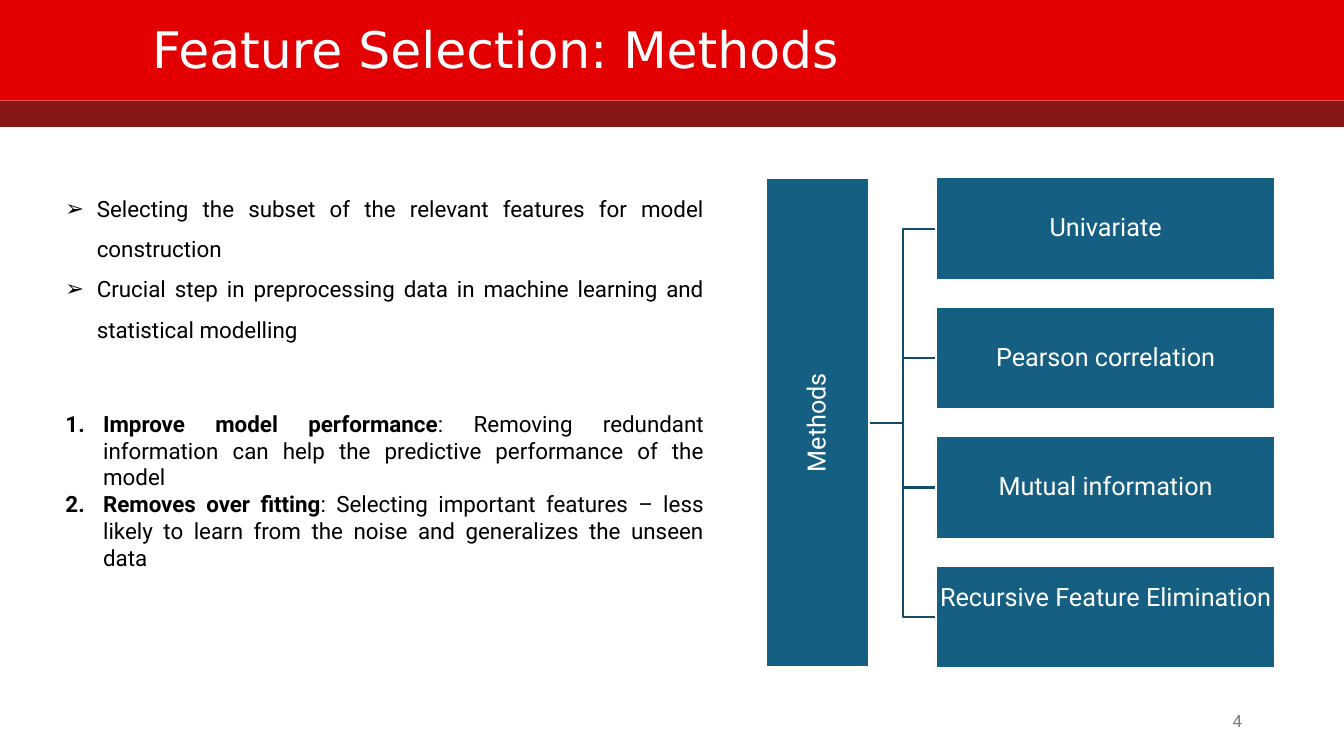
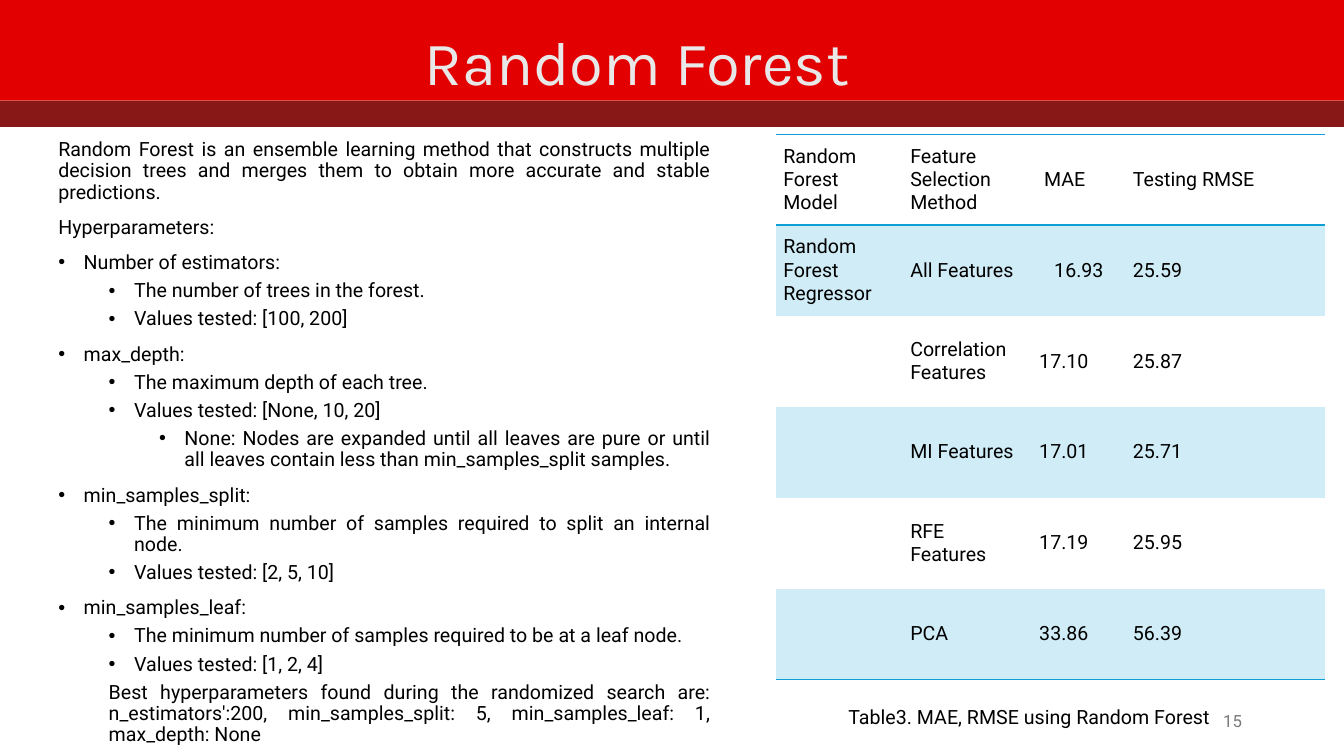
from lxml import etree
from pptx import Presentation
from pptx.dml.color import RGBColor
from pptx.enum import shapes, text
from pptx.oxml import ns
from pptx.util import Cm, Pt

RED, MAROON = "E20000", "881817"
TILE, BRANCH = "156082", "114D68"
RULE, STRIPE = "0F9ED5", "CFECF7"
WHITE, BLACK, PALE, GREY = "FFFFFF", "000000", "E8E8E8", "797979"
ALIGN, ANCHOR = text.PP_ALIGN, text.MSO_ANCHOR
NO_STYLE = "{2D5ABB26-0587-4C30-8999-92F81FD0307C}"


def rgb(value):
    return RGBColor.from_string(value)


def child(parent, tag, **attributes):
    return etree.SubElement(parent, ns.qn(tag), attributes)


def write(frame, words, font="Roboto", size=14, color=BLACK, align=ALIGN.LEFT,
          spacing=1.0, before=0, left=0, hang=0, bullet=None):
    """Add one paragraph; words is a string or a (bold lead, plain rest) pair."""
    first = frame.paragraphs[0]
    is_first = not first.runs
    paragraph = first if is_first else frame.add_paragraph()
    paragraph.alignment = align
    paragraph.line_spacing = spacing
    paragraph.space_before = Pt(0 if is_first else before)
    properties = paragraph._p.get_or_add_pPr()
    properties.set("marL", str(Cm(left)))
    properties.set("indent", str(-Cm(hang)))
    if bullet == "1.":
        child(properties, "a:buAutoNum", type="arabicPeriod")
    elif bullet:
        child(properties, "a:buFont", typeface="Arial")
        child(properties, "a:buChar", char=bullet)
    else:
        child(properties, "a:buNone")
    pieces = [(words, False)] if isinstance(words, str) else zip(words, (True, False))
    for piece, bold in pieces:
        run = paragraph.add_run()
        run.text = piece
        run.font.name, run.font.size, run.font.bold = font, Pt(size), bold
        run.font.color.rgb = rgb(color)


def set_margins(target, horizontal, vertical):
    target.margin_left = target.margin_right = Cm(horizontal)
    target.margin_top = target.margin_bottom = Cm(vertical)


def rule_under(cell, edges):
    """Draw 1 pt rules on the given cell edges, named T or B."""
    for edge in edges:
        line = child(cell._tc.get_or_add_tcPr(), f"a:ln{edge}", w=str(Pt(1)))
        child(child(line, "a:solidFill"), "a:srgbClr", val=RULE)


class Deck:
    """Holds the presentation, its style and the slide being built."""

    def __init__(self):
        self.show = Presentation()
        self.show.slide_width, self.show.slide_height = Cm(33.87), Cm(19.05)
        self.layout = self.show.slide_layouts[5]
        self.slide = None

    def start(self, title, number, box, **style):
        is_first = self.slide is None
        self.slide = self.show.slides.add_slide(self.layout)
        if is_first:
            self.share_bands()
        heading = self.slide.shapes.title
        heading.left, heading.top, heading.width, heading.height = map(Cm, box)
        frame = heading.text_frame
        frame.word_wrap, frame.auto_size = True, text.MSO_AUTO_SIZE.NONE
        frame.vertical_anchor = ANCHOR.MIDDLE
        write(frame, title, **style)
        page = self.box(23.93, 17.65, 7.62, 1.02, ANCHOR.MIDDLE)
        write(page, str(number), size=12, color=GREY, align=ALIGN.RIGHT)

    def share_bands(self):
        """Draw the header bands and move them to the layout, behind all else."""
        for top, height, color in ((0, 2.54, RED), (2.54, 0.66, MAROON)):
            band = self.block(0, top, 33.87, height, color)
            self.layout.shapes.element.insert(2, band.element)

    def block(self, left, top, width, height, color):
        block = self.slide.shapes.add_shape(
            shapes.MSO_SHAPE.RECTANGLE, *map(Cm, (left, top, width, height)))
        block.shadow.inherit = False
        block.fill.solid()
        block.fill.fore_color.rgb = rgb(color)
        block.line.fill.background()
        return block

    def tile(self, label, left, top, width, height, rotation=0, lift=0):
        """Draw a labelled tile; lift raises the label above the middle."""
        tile = self.block(left, top, width, height, TILE)
        tile.rotation = rotation
        tile.line.color.rgb, tile.line.width = rgb(WHITE), Pt(1.5)
        frame = tile.text_frame
        frame.word_wrap, frame.vertical_anchor = True, ANCHOR.MIDDLE
        set_margins(frame, 0.03, 0.03)
        frame.margin_bottom = Cm(0.03 + 2 * lift)
        write(frame, label, size=18, color=WHITE, align=ALIGN.CENTER, spacing=0.9)

    def branch(self, *ends):
        branch = self.slide.shapes.add_connector(
            shapes.MSO_CONNECTOR.ELBOW, *map(Cm, ends))
        branch.line.color.rgb, branch.line.width = rgb(BRANCH), Pt(1.5)
        child(branch.element.spPr, "a:effectLst")

    def box(self, left, top, width, height, anchor=ANCHOR.TOP):
        frame = self.slide.shapes.add_textbox(
            *map(Cm, (left, top, width, height))).text_frame
        frame.word_wrap, frame.vertical_anchor = True, anchor
        return frame

    def table(self, rows, left, top, widths, row_height):
        table = self.slide.shapes.add_table(
            len(rows), len(widths), Cm(left), Cm(top),
            Cm(sum(widths)), Cm(row_height * len(rows))).table
        table.first_row = table.horz_banding = False
        table._tbl.tblPr.find(ns.qn("a:tableStyleId")).text = NO_STYLE
        for column, width in zip(table.columns, widths):
            column.width = Cm(width)
        for r, row in enumerate(rows):
            table.rows[r].height = Cm(row_height)
            edges = {0: "TB", len(rows) - 1: "B"}.get(r, "")
            for c, words in enumerate(row):
                cell = table.cell(r, c)
                cell.vertical_anchor = ANCHOR.MIDDLE
                set_margins(cell, 0.18, 0.09)
                rule_under(cell, edges)
                if r % 2:
                    cell.fill.solid()
                    cell.fill.fore_color.rgb = rgb(STRIPE)
                else:
                    cell.fill.background()
                if words:
                    write(cell.text_frame, words)
        return table


def methods_slide(deck):
    deck.start("Feature Selection: Methods", 4, (3.58, 0.23, 24.08, 2.16),
               font="DejaVu Sans", size=36, color=WHITE, spacing=0.9)

    tile_left, first_top, tile_height, pitch = 23.6, 4.47, 2.59, 3.26
    trunk_right, trunk_middle = 21.9, 10.65
    methods = ("Univariate", "Pearson correlation", "Mutual information",
               "Recursive Feature Elimination")
    tops = [first_top + i * pitch for i in range(len(methods))]
    for top in tops:
        deck.branch(trunk_right, trunk_middle, tile_left, top + tile_height / 2)
    deck.tile("Methods", 14.43, 9.35, 12.34, tile_height, rotation=270)
    for method, top in zip(methods, tops):
        deck.tile(method, tile_left, top, 8.53, tile_height,
                  lift=0.46 if method == methods[-1] else 0)

    reasons = deck.box(1.4, 4.45, 16.59, 10.85)
    for point in (
            "Selecting the subset of the relevant features for model construction",
            "Crucial step in preprocessing data in machine learning and "
            "statistical modelling"):
        write(reasons, point, size=16, align=ALIGN.JUSTIFY, spacing=1.5,
              left=0.79, hang=0.79, bullet="➢")
    benefits = (
        ("Improve model performance", ": Removing redundant information can help "
         "the predictive performance of the model"),
        ("Removes over fitting", ": Selecting important features – less likely to "
         "learn from the noise and generalizes the unseen data"))
    for benefit, gap in zip(benefits, (48, 0)):
        write(reasons, benefit, size=16, align=ALIGN.JUSTIFY, before=gap,
              left=0.95, hang=0.95, bullet="1.")


def forest_slide(deck):
    deck.start("Random Forest", 15, (3.51, 0.48, 25.1, 2.13),
               font="Karla", size=44, color=PALE, align=ALIGN.CENTER)

    summary = deck.box(1.22, 3.4, 16.94, 15.5)
    body = dict(align=ALIGN.JUSTIFY, spacing=0.9)
    for sentence in (
            "Random Forest is an ensemble learning method that constructs multiple "
            "decision trees and merges them to obtain more accurate and stable "
            "predictions.",
            "Hyperparameters:"):
        write(summary, sentence, before=10, **body)
    hyperparameters = (
        (0, "Number of estimators:"),
        (1, "The number of trees in the forest."),
        (1, "Values tested: [100, 200]"),
        (0, "max_depth:"),
        (1, "The maximum depth of each tree."),
        (1, "Values tested: [None, 10, 20]"),
        (2, "None: Nodes are expanded until all leaves are pure or until all "
            "leaves contain less than min_samples_split samples."),
        (0, "min_samples_split:"),
        (1, "The minimum number of samples required to split an internal node."),
        (1, "Values tested: [2, 5, 10]"),
        (0, "min_samples_leaf:"),
        (1, "The minimum number of samples required to be at a leaf node."),
        (1, "Values tested: [1, 2, 4]"))
    for level, item in hyperparameters:
        write(summary, item, before=5 if level else 10, bullet="•",
              left=0.64 + 1.27 * level, hang=0.64, **body)
    write(summary, "Best hyperparameters found during the randomized search are: "
          "n_estimators':200, min_samples_split: 5, min_samples_leaf: 1, "
          "max_depth: None", before=5, left=1.27, **body)

    scores = deck.table((
        ("Random Forest Model", "Feature Selection Method", "MAE", "Testing RMSE"),
        ("Random Forest Regressor", "All Features", "16.93", "25.59"),
        ("", "Correlation Features", "17.10", "25.87"),
        ("", "MI Features", "17.01", "25.71"),
        ("", "RFE Features", "17.19", "25.95"),
        ("", "PCA", "33.86", "56.39"),
    ), 19.56, 3.38, (3.2, 3.25, 2.36, 5.03), 2.29)
    scores.cell(0, 2).margin_left = Cm(0.3)
    scores.cell(1, 2).text_frame.paragraphs[0].alignment = ALIGN.CENTER

    caption = deck.box(21.13, 17.63, 10.03, 0.86)
    write(caption, "Table3. MAE, RMSE using Random Forest")


def main():
    deck = Deck()
    methods_slide(deck)
    forest_slide(deck)
    deck.show.save("out.pptx")


if __name__ == "__main__":
    main()
